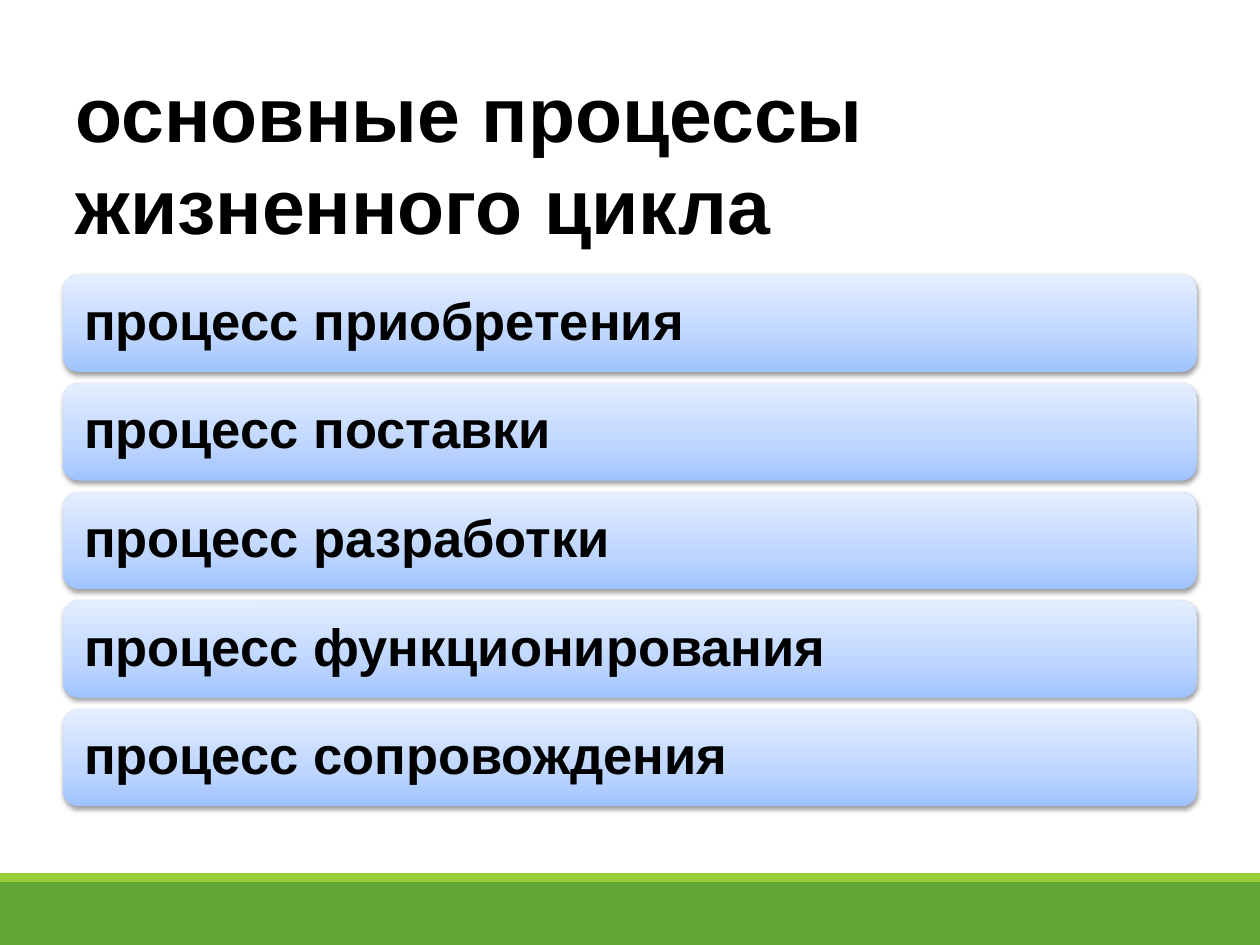
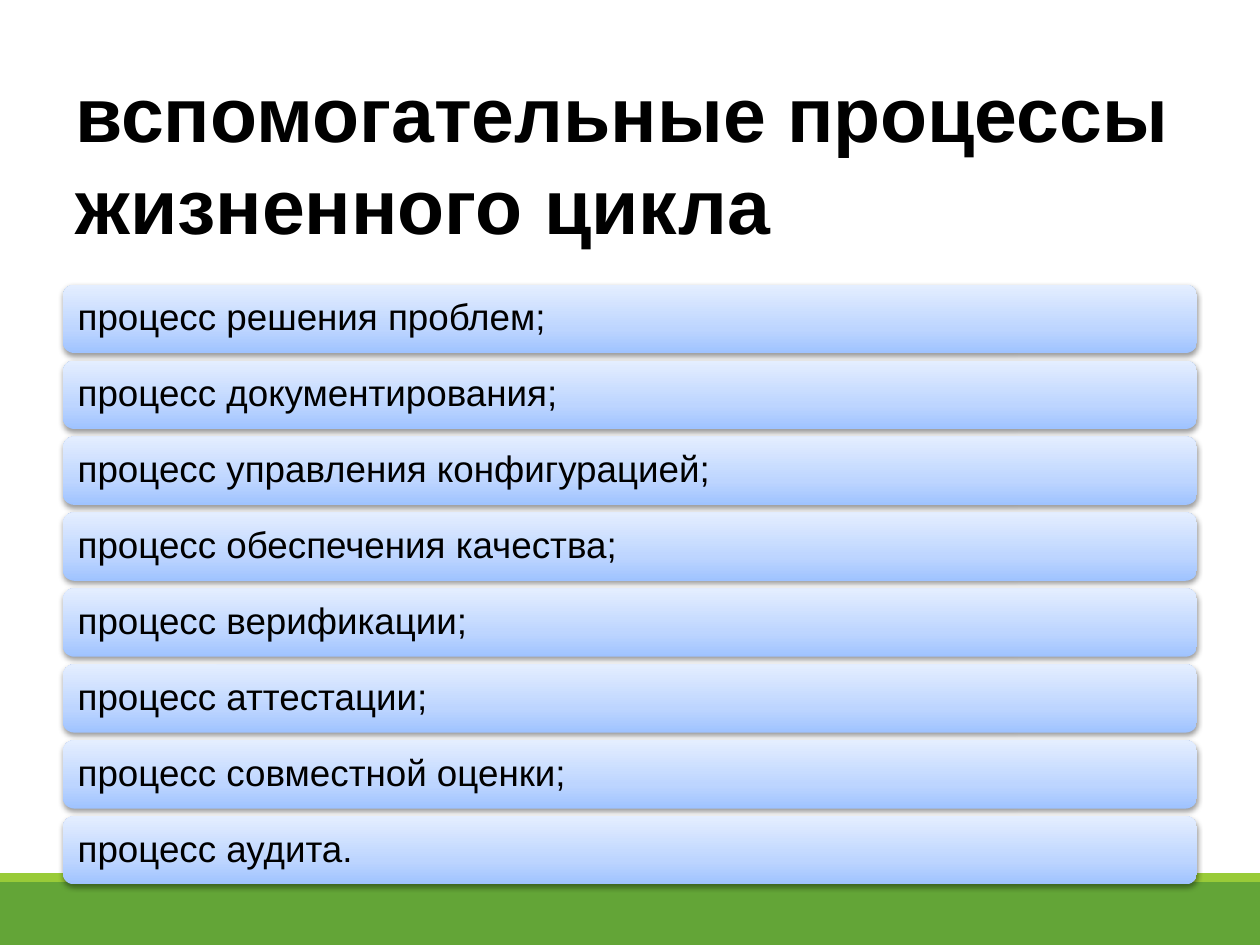
from dataclasses import dataclass

from lxml import etree
from pptx import Presentation
from pptx.dml.color import RGBColor
from pptx.enum.shapes import MSO_SHAPE as Shape
from pptx.enum.text import MSO_ANCHOR as Anchor, MSO_AUTO_SIZE as AutoSize, PP_ALIGN as Align
from pptx.oxml import parse_xml
from pptx.oxml.ns import nsdecls, qn
from pptx.util import Inches, Pt

COLORS = {
    "text": "000000",
    "band": "63A537",
    "stripe": "99CB38",
    "bar_bottom": "9FC3FF",
    "bar_middle": "BDD5FF",
    "bar_top": "E4EEFF",
    "shadow": "000000",
}
FONT = "Arial"
BAR_STOPS = [(0, "bar_bottom"), (35, "bar_middle"), (100, "bar_top")]


@dataclass
class Box:
    left: float
    top: float
    width: float
    height: float

    def lengths(self):
        return [Inches(side) for side in (self.left, self.top, self.width, self.height)]


TITLE_BOX = Box(0.5, 0.5, 9, 1.5)
FOOTER_BOX = Box(0, 6.93, 10, 0.57)


def color(name):
    return RGBColor.from_string(COLORS[name])


def write_text(shape, text, size, bold=False, insets=(0.1, 0.05), spacing=1.0):
    frame = shape.text_frame
    frame.word_wrap = True
    frame.auto_size = AutoSize.NONE
    frame.vertical_anchor = Anchor.MIDDLE
    frame.margin_left = frame.margin_right = Inches(insets[0])
    frame.margin_top = frame.margin_bottom = Inches(insets[1])
    para = frame.paragraphs[0]
    para.alignment = Align.LEFT
    para.line_spacing = spacing
    span = para.add_run()
    span.text = text
    span.font.name = FONT
    span.font.size = Pt(size)
    span.font.bold = bold
    span.font.color.rgb = color("text")


def add_plain_shape(page, kind, box):
    shape = page.shapes.add_shape(kind, *box.lengths())
    shape.shadow.inherit = False
    shape.line.fill.background()
    return shape


def add_footer(page, box):
    stripe_height = 0.07
    parts = [
        ("band", box.top + stripe_height, box.height - stripe_height),
        ("stripe", box.top, stripe_height),
    ]
    for name, top, height in parts:
        band = add_plain_shape(page, Shape.RECTANGLE, Box(box.left, top, box.width, height))
        band.fill.solid()
        band.fill.fore_color.rgb = color(name)


def add_title(page, text, box):
    title = page.shapes.title
    title.left, title.top, title.width, title.height = box.lengths()
    write_text(title, text, size=44, bold=True)


def style_bar(bar):
    stops = "".join(
        f'<a:gs pos="{place * 1000}"><a:srgbClr val="{COLORS[name]}"/></a:gs>'
        for place, name in BAR_STOPS
    )
    gradient = parse_xml(
        f'<a:gradFill {nsdecls("a")} rotWithShape="1"><a:gsLst>{stops}</a:gsLst>'
        '<a:lin ang="16200000" scaled="0"/></a:gradFill>'
    )
    properties = bar._element.spPr
    properties.find(qn("a:prstGeom")).addnext(gradient)
    effects = properties.find(qn("a:effectLst"))
    shadow = etree.SubElement(
        effects, qn("a:outerShdw"), blurRad=str(Pt(3.1)), dist=str(Pt(1.6)),
        dir="5400000", rotWithShape="0",
    )
    tint = etree.SubElement(shadow, qn("a:srgbClr"), val=COLORS["shadow"])
    etree.SubElement(tint, qn("a:alpha"), val="38000")


def add_bars(page, labels, box, gap, **text_format):
    height = (box.height - gap * (len(labels) - 1)) / len(labels)
    for index, label in enumerate(labels):
        top = box.top + index * (height + gap)
        bar = add_plain_shape(page, Shape.ROUNDED_RECTANGLE, Box(box.left, top, box.width, height))
        style_bar(bar)
        write_text(bar, label, spacing=0.9, **text_format)


def add_process_page(deck, title, labels, box, gap, **text_format):
    page = deck.slides.add_slide(deck.slide_layouts[5])
    add_footer(page, FOOTER_BOX)
    add_title(page, title, TITLE_BOX)
    add_bars(page, labels, box, gap, **text_format)


def main():
    deck = Presentation()
    deck.slide_width, deck.slide_height = Inches(10), Inches(7.5)
    add_process_page(
        deck,
        "основные процессы жизненного цикла",
        [
            "процесс приобретения",
            "процесс поставки",
            "процесс разработки",
            "процесс функционирования",
            "процесс сопровождения",
        ],
        Box(0.5, 2.18, 9, 4.22),
        gap=0.09, size=30, bold=True, insets=(0.13, 0.16),
    )
    add_process_page(
        deck,
        "вспомогательные процессы жизненного цикла",
        [
            "процесс решения проблем;",
            "процесс документирования;",
            "процесс управления конфигурацией;",
            "процесс обеспечения качества;",
            "процесс верификации;",
            "процесс аттестации;",
            "процесс совместной оценки;",
            "процесс аудита.",
        ],
        Box(0.5, 2.26, 9, 4.76),
        gap=0.06, size=21, insets=(0.09, 0.11),
    )
    deck.save("out.pptx")


if __name__ == "__main__":
    main()
